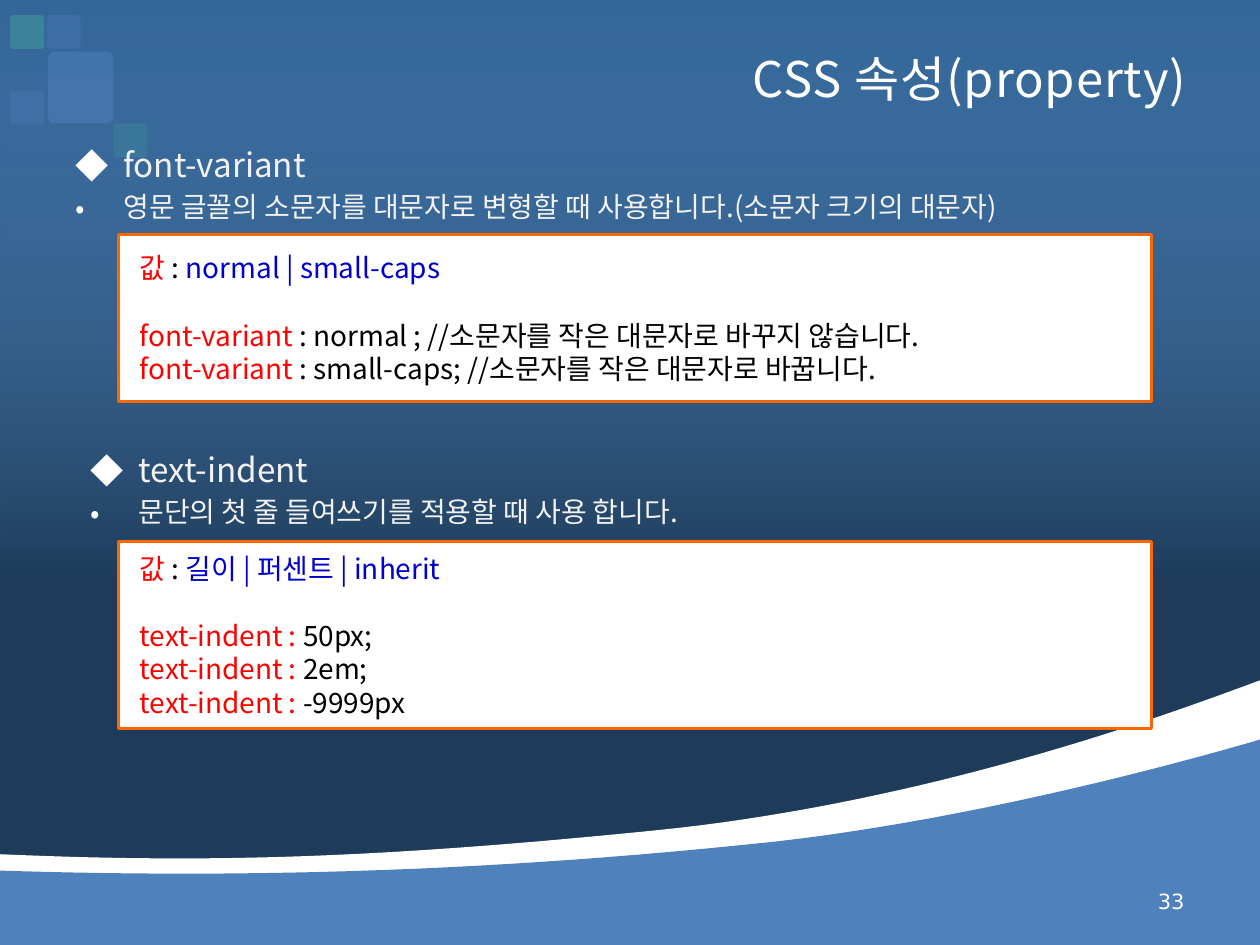
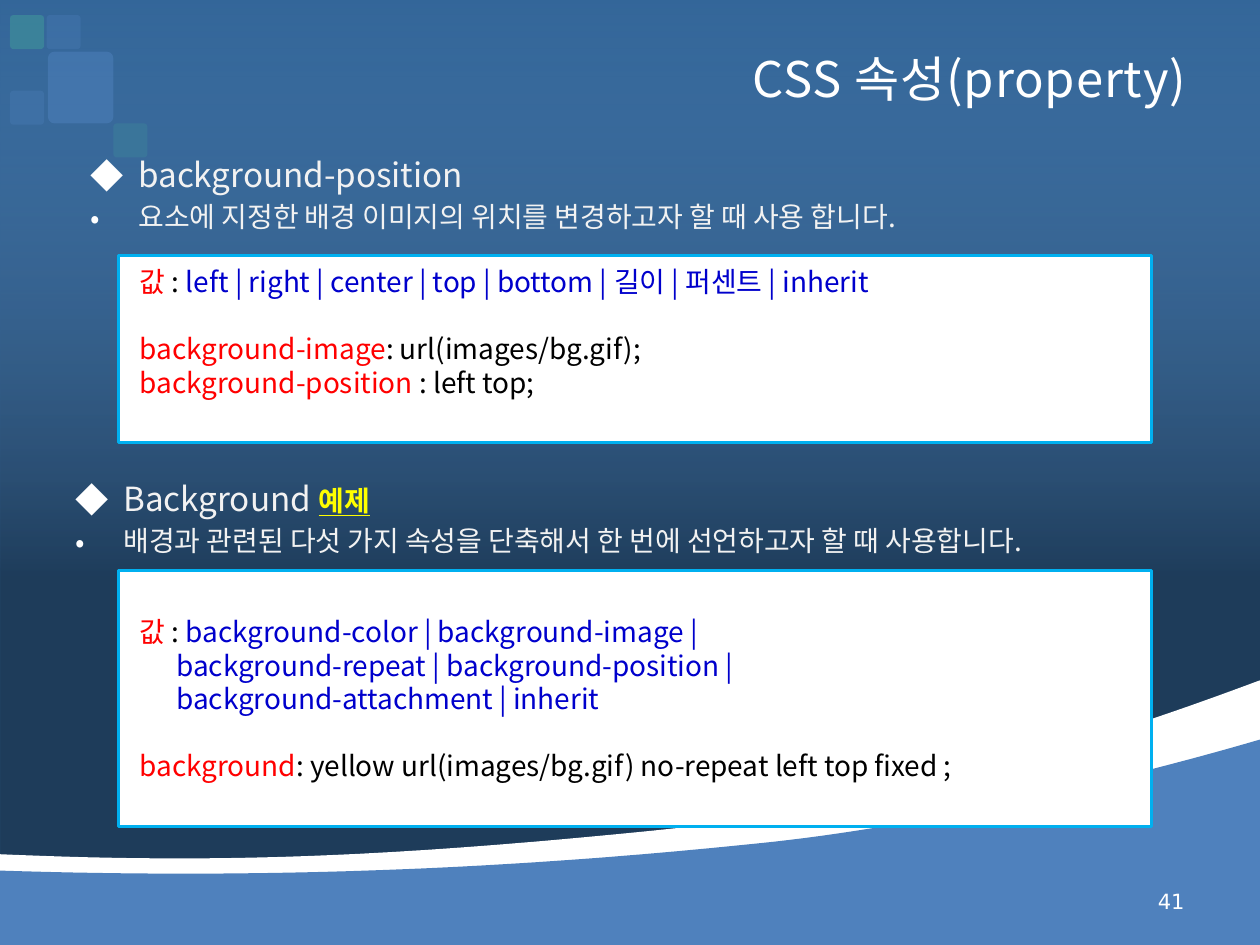
"""Build two slides on CSS properties with a shared blue wave theme."""
from dataclasses import dataclass

from lxml import etree
from pptx import Presentation
from pptx.dml import color
from pptx.enum import shapes, text
from pptx.oxml import ns
from pptx.util import Inches, Pt


@dataclass(frozen=True)
class Theme:
    font: str = "Noto Sans CJK KR"
    number_font: str = "DejaVu Sans"
    base: str = "336699"
    sky: str = "8DB3E2"
    blue: str = "4F81BD"
    teal: str = "3F949A"
    white: str = "FFFFFF"
    pale: str = "F2F2F2"
    black: str = "000000"
    keyword: str = "FF0000"
    value: str = "0000CC"
    example: str = "FFFF00"
    orange: str = "FF6600"
    cyan: str = "00B0F0"
    title_size: float = 28
    heading_size: float = 19
    body_size: float = 16
    number_size: float = 12
    heading_pitch: float = 34
    body_pitch: float = 19.2


THEME = Theme()


def rgb(value):
    return color.RGBColor.from_string(value)


def add_xml(parent, tag, **attributes):
    return etree.SubElement(parent, ns.qn(tag), attributes)


def set_alpha(color_element, percent):
    add_xml(color_element, "a:alpha", val=str(percent * 1000))


def curve(start, control1, control2, end, steps=40):
    """Return points along a cubic curve, without its start."""
    points = []
    for step in range(1, steps + 1):
        t = step / steps
        weights = ((1 - t) ** 3, 3 * t * (1 - t) ** 2, 3 * t * t * (1 - t), t ** 3)
        points.append(tuple(
            sum(w * p[axis] for w, p in zip(weights, (start, control1, control2, end)))
            for axis in (0, 1)))
    return points


class Deck:
    """Hold the theme and the current slide, and draw each kind of element."""

    def __init__(self, theme):
        self.theme = theme
        self.presentation = Presentation()
        self.presentation.slide_width = Inches(10)
        self.presentation.slide_height = Inches(7.5)
        self.layout = self.presentation.slide_layouts[1]
        self.slide = None

    def add_slide(self, title, number):
        self.slide = self.presentation.slides.add_slide(self.layout)
        if number == PAGES[0]["number"]:
            self.decorate_master()
        self.title(title)
        self.page_number(number)

    def place(self, shape, left, top, width, height):
        shape.left, shape.top = Inches(left), Inches(top)
        shape.width, shape.height = Inches(width), Inches(height)

    def paint(self, shape, fill, alpha=None):
        shape.shadow.inherit = False
        shape.line.fill.background()
        shape.fill.solid()
        shape.fill.fore_color.rgb = rgb(fill)
        if alpha:
            set_alpha(shape.element.spPr.find(".//" + ns.qn("a:srgbClr")), alpha)
        return shape

    def shade(self):
        shade = self.slide.shapes.add_shape(
            shapes.MSO_SHAPE.RECTANGLE, 0, 0, Inches(10), Inches(7.5))
        shade.shadow.inherit = False
        shade.line.fill.background()
        shade.fill.gradient()
        shade.fill.gradient_angle = 270
        stops = zip(shade.fill.gradient_stops, (self.theme.sky, self.theme.black), (0, 0.61))
        for stop, shade_color, position in stops:
            stop.color.rgb = rgb(shade_color)
            stop.position = position
        clear, dark = shade.element.spPr.findall(".//" + ns.qn("a:srgbClr"))
        set_alpha(clear, 0)
        set_alpha(dark, 40)
        return shade

    def wave(self, fill, start, *segments):
        outline = [start]
        for segment in segments:
            outline += curve(outline[-1], *segment)
        outline += [(10, 7.5), (0, 7.5)]
        builder = self.slide.shapes.build_freeform(
            Inches(start[0]), Inches(start[1]))
        builder.add_line_segments([(Inches(x), Inches(y)) for x, y in outline[1:]])
        return self.paint(builder.convert_to_shape(), fill)

    def tile(self, left, top, width, height, fill, alpha):
        tile = self.slide.shapes.add_shape(
            shapes.MSO_SHAPE.ROUNDED_RECTANGLE,
            Inches(left), Inches(top), Inches(width), Inches(height))
        tile.adjustments[0] = 0.1
        return self.paint(tile, fill, alpha)

    def decorate_master(self):
        theme, master = self.theme, self.presentation.slide_master
        master.background.fill.solid()
        master.background.fill.fore_color.rgb = rgb(theme.base)
        decor = [
            self.shade(),
            self.wave(theme.white, (0, 6.78),
                      ((1.61, 6.85), (2.93, 6.82), (5.21, 6.59)),
                      ((7.49, 6.36), (9.48, 5.59), (10, 5.4))),
            self.wave(theme.blue, (0, 6.91),
                      ((2.46, 6.99), (4.45, 6.86), (6.15, 6.68)),
                      ((7.84, 6.49), (9.59, 5.99), (10, 5.87))),
            self.tile(0.37, 0.12, 0.27, 0.27, theme.blue, 30),
            self.tile(0.08, 0.72, 0.27, 0.27, theme.blue, 30),
            self.tile(0.08, 0.12, 0.27, 0.27, theme.teal, 60),
            self.tile(0.9, 0.98, 0.27, 0.27, theme.teal, 30),
            self.tile(0.38, 0.41, 0.52, 0.57, theme.blue, 50),
        ]
        for index, shape in enumerate(decor, start=2):
            master.shapes.element.insert(index, shape.element)

    def style(self, run, size, fill, font=None, marked=False):
        run.font.size = Pt(size)
        run.font.bold = run.font.underline = marked
        run.font.color.rgb = rgb(fill)
        run.font.name = font or self.theme.font
        add_xml(run.font._element, "a:ea", typeface=run.font.name)

    def title(self, wording):
        title = self.slide.shapes.title
        self.place(title, 0.5, 0.3, 9.11, 0.64)
        frame = title.text_frame
        frame.text = wording
        frame.auto_size = text.MSO_AUTO_SIZE.NONE
        frame.vertical_anchor = text.MSO_ANCHOR.MIDDLE
        frame.paragraphs[0].alignment = text.PP_ALIGN.RIGHT
        run = frame.paragraphs[0].runs[0]
        self.style(run, self.theme.title_size, self.theme.white)
        run.font._element.set("spc", "50")

    def page_number(self, number):
        page = self.slide.shapes.add_textbox(
            Inches(7.17), Inches(6.95), Inches(2.33), Inches(0.4))
        frame = page.text_frame
        frame.word_wrap = True
        frame.vertical_anchor = text.MSO_ANCHOR.MIDDLE
        frame.text = str(number)
        frame.paragraphs[0].alignment = text.PP_ALIGN.RIGHT
        self.style(frame.paragraphs[0].runs[0], self.theme.number_size,
                   self.theme.white, self.theme.number_font)

    def bullet(self, paragraph, mark, pitch, before):
        paragraph.line_spacing = Pt(pitch)
        paragraph.space_before = Pt(before)
        properties = paragraph._p.get_or_add_pPr()
        properties.set("marL", str(Inches(0.38)))
        properties.set("indent", str(-Inches(0.38)))
        add_xml(add_xml(properties, "a:buClr"), "a:srgbClr", val=self.theme.white)
        add_xml(properties, "a:buFont", typeface=self.theme.font)
        add_xml(properties, "a:buChar", char=mark)

    def topic(self, at, name, summary, in_body=False, example=None):
        theme = self.theme
        if in_body:
            topic = self.slide.placeholders[1]
        else:
            topic = self.slide.shapes.add_textbox(0, 0, 0, 0)
        self.place(topic, *at)
        frame = topic.text_frame
        frame.word_wrap = True
        frame.auto_size = text.MSO_AUTO_SIZE.NONE
        frame.vertical_anchor = text.MSO_ANCHOR.TOP
        frame.text = f"{name}\n{summary}"
        heading, description = frame.paragraphs
        self.bullet(heading, "◆", theme.heading_pitch, 3.8)
        self.bullet(description, "•", theme.body_pitch, 3.2)
        self.style(heading.runs[0], theme.heading_size, theme.pale)
        self.style(description.runs[0], theme.body_size, theme.pale)
        if example:
            link = heading.add_run()
            link.text = example
            self.style(link, theme.body_size, theme.example, marked=True)

    def code_box(self, top, height, border, values, rules, space_below=0):
        theme = self.theme
        box = self.slide.shapes.add_shape(
            shapes.MSO_SHAPE.RECTANGLE,
            Inches(0.94), Inches(top), Inches(8.2), Inches(height))
        self.paint(box, theme.white)
        box.line.color.rgb = rgb(border)
        box.line.width = Pt(1.5)
        frame = box.text_frame
        frame.word_wrap = True
        frame.vertical_anchor = text.MSO_ANCHOR.MIDDLE
        frame.margin_left = Inches(0.17)
        frame.margin_bottom = Inches(0.05 + space_below)
        first, *continued = values
        lines = [[("값 ", theme.keyword), (": ", theme.black), (first, theme.value)]]
        lines += [[(more, theme.value)] for more in continued]
        lines += [[(name, theme.keyword), (rest, theme.black)] for name, rest in rules]
        for index, line in enumerate(lines):
            paragraph = frame.add_paragraph() if index else frame.paragraphs[0]
            paragraph.alignment = text.PP_ALIGN.LEFT
            paragraph.line_spacing = Pt(theme.body_pitch)
            if index == len(values):
                paragraph.space_before = Pt(theme.body_pitch)
            elif 0 < index < len(values):
                paragraph._p.get_or_add_pPr().set("marL", str(Inches(0.29)))
            for wording, fill in line:
                run = paragraph.add_run()
                run.text = wording
                self.style(run, theme.body_size, fill)


PAGES = [
    dict(number=33, border=THEME.orange, topics=[
        (dict(at=(0.5, 0.94, 9.11, 2.5), name="font-variant", in_body=True,
              summary="영문 글꼴의 소문자를 대문자로 변형할 때 사용합니다.(소문자 크기의 대문자)"),
         dict(top=1.86, height=1.33, values=["normal | small-caps"], rules=[
             ("font-variant ", ": normal ; //소문자를 작은 대문자로 바꾸지 않습니다."),
             ("font-variant ", ": small-caps; //소문자를 작은 대문자로 바꿉니다.")])),
        (dict(at=(0.62, 3.36, 9.11, 2.89), name="text-indent",
              summary="문단의 첫 줄 들여쓰기를 적용할 때 사용 합니다."),
         dict(top=4.3, height=1.48, values=["길이 | 퍼센트 | inherit"], rules=[
             ("text-indent : ", length) for length in ("50px;", "2em;", "-9999px")])),
    ]),
    dict(number=41, border=THEME.cyan, topics=[
        (dict(at=(0.62, 1.02, 9.11, 2.66), name="background-position",
              summary="요소에 지정한 배경 이미지의 위치를 변경하고자 할 때 사용 합니다."),
         dict(top=2.03, height=1.48, space_below=0.27,
              values=["left | right | center | top | bottom | 길이 | 퍼센트 | inherit"],
              rules=[("background-image", ": url(images/bg.gif);"),
                     ("background-position ", ": left top;")])),
        (dict(at=(0.5, 3.59, 9.11, 3.91), name="Background ", in_body=True, example="예제",
              summary="배경과 관련된 다섯 가지 속성을 단축해서 한 번에 선언하고자 할 때 사용합니다."),
         dict(top=4.53, height=2.03,
              values=["background-color | background-image |",
                      "background-repeat | background-position |",
                      "background-attachment | inherit"],
              rules=[("background",
                      ": yellow url(images/bg.gif) no-repeat left top fixed ;")])),
    ]),
]


def main():
    deck = Deck(THEME)
    for page in PAGES:
        deck.add_slide("CSS 속성(property) ", page["number"])
        for topic, code in page["topics"]:
            deck.topic(**topic)
            deck.code_box(border=page["border"], **code)
    deck.presentation.save("out.pptx")


if __name__ == "__main__":
    main()
